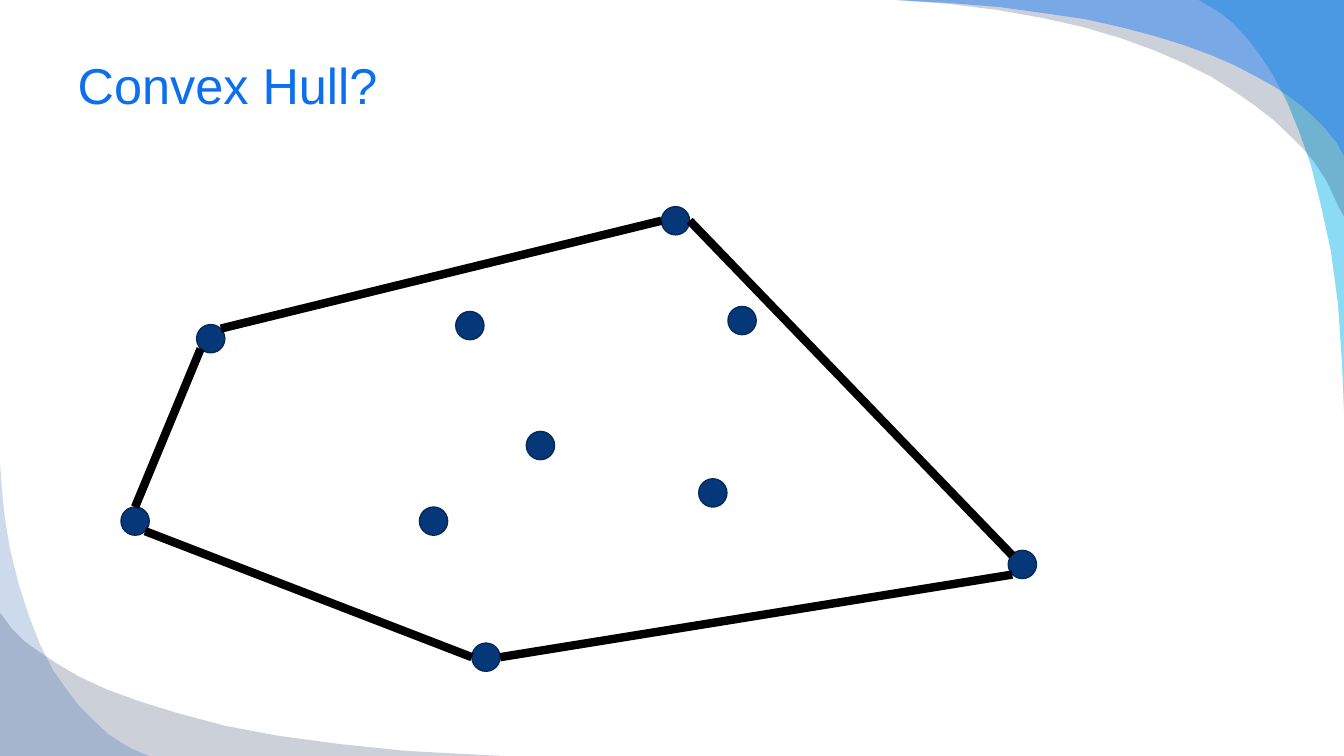
from lxml.etree import SubElement
from pptx import Presentation
from pptx.dml.color import RGBColor
from pptx.enum.shapes import MSO_CONNECTOR as LINK, MSO_SHAPE as SHAPE
from pptx.enum.text import MSO_ANCHOR as ANCHOR, PP_ALIGN as ALIGN
from pptx.oxml.ns import qn
from pptx.util import Pt

PX = 9144
BLUE = RGBColor(0x0C, 0x6F, 0xF2)
NAVY = RGBColor(0x06, 0x38, 0x79)
EDGE = RGBColor(0x04, 0x29, 0x5A)
BLACK = RGBColor(0, 0, 0)
CYAN = RGBColor(0x00, 0xB1, 0xE9)
SKY = RGBColor(0x24, 0x7F, 0xF4)
INK = RGBColor(0x02, 0x17, 0x41)
STEEL = RGBColor(0x08, 0x4A, 0xA1)

RIGHT = [
    (CYAN, 45, [(300, 0), (312, 7), (323, 14), (334, 23), (348, 38), (361, 55),
                (374, 75), (387, 100), (399, 129), (411, 163), (421, 203),
                (431, 249), (438, 301), (442, 360), (444, 408)]),
    (INK, 20, [(0, 0), (53, 4), (101, 10), (146, 18), (186, 27), (223, 38),
               (256, 50), (286, 63), (312, 76), (336, 91), (356, 105),
               (374, 119), (390, 134), (403, 147), (414, 160), (427, 180),
               (439, 206), (444, 215)]),
    (SKY, 49, [(0, 0), (53, 3), (102, 7), (146, 13), (187, 19), (223, 27),
               (257, 36), (286, 45), (313, 55), (336, 65), (357, 76),
               (375, 86), (390, 96), (403, 106), (414, 116), (425, 127),
               (437, 142), (444, 155)]),
]
LEFT = [
    (INK, 20, [(0, 150), (4, 155), (12, 166), (24, 178), (38, 188), (56, 200),
               (78, 213), (106, 226), (139, 238), (178, 250), (223, 262),
               (276, 272), (336, 280), (403, 287), (460, 290), (500, 292)]),
    (STEEL, 20, [(0, 0), (2, 29), (5, 57), (10, 87), (19, 123), (29, 154),
                 (40, 182), (52, 206), (66, 226), (79, 243), (92, 256),
                 (107, 270), (119, 278), (131, 285), (148, 292)]),
]
DOT = 28
DOTS = [(75, 117), (348, 433), (0, 298), (880, 341), (536, 0),
        (573, 270), (296, 298), (402, 223), (602, 99), (332, 104)]
SIDES = [(14, 298, 79, 141), (24, 322, 348, 447), (884, 365, 376, 447),
         (884, 346, 564, 14), (99, 121, 536, 14)]


def add_waves(slide, left, top, corner, waves):
    for color, alpha, curve in waves:
        points = [(left + x, top + y) for x, y in [corner] + curve]
        pen = slide.shapes.build_freeform(*points[0], scale=PX)
        pen.add_line_segments(points[1:])
        wave = pen.convert_to_shape()
        wave.shadow.inherit = False
        wave.line.fill.background()
        wave.fill.solid()
        wave.fill.fore_color.rgb = color
        tint = wave.element.spPr.find(qn("a:solidFill"))[0]
        SubElement(tint, qn("a:alpha")).set("val", str(alpha * 1000))


def add_title(slide, left, top, width, height):
    title = slide.shapes.title
    title.left, title.top = left * PX, top * PX
    title.width, title.height = width * PX, height * PX
    frame = title.text_frame
    frame.text = "Convex Hull?"
    frame.vertical_anchor = ANCHOR.MIDDLE
    para = frame.paragraphs[0]
    para.alignment = ALIGN.LEFT
    para.font.name = "Arial"
    para.font.size = Pt(36)
    para.font.color.rgb = BLUE


def add_hull(slide, left, top):
    for x, y in DOTS:
        dot = slide.shapes.add_shape(
            SHAPE.OVAL, (left + x) * PX, (top + y) * PX, DOT * PX, DOT * PX)
        dot.shadow.inherit = False
        dot.fill.solid()
        dot.fill.fore_color.rgb = NAVY
        dot.line.color.rgb = EDGE
        dot.line.width = Pt(1)
    for x1, y1, x2, y2 in SIDES:
        side = slide.shapes.add_connector(
            LINK.STRAIGHT, (left + x1) * PX, (top + y1) * PX,
            (left + x2) * PX, (top + y2) * PX)
        side.line.color.rgb = BLACK
        side.line.width = Pt(6)
        SubElement(side.element.spPr, qn("a:effectLst"))


def main():
    deck = Presentation()
    deck.slide_width, deck.slide_height = 1333 * PX, 750 * PX
    slide = deck.slides.add_slide(deck.slide_layouts[5])
    add_waves(slide, 889, 0, (444, 0), RIGHT)
    add_waves(slide, 0, 458, (0, 292), LEFT)
    add_title(slide, 67, 33, 1200, 101)
    add_hull(slide, 120, 205)
    deck.save("out.pptx")


if __name__ == "__main__":
    main()
